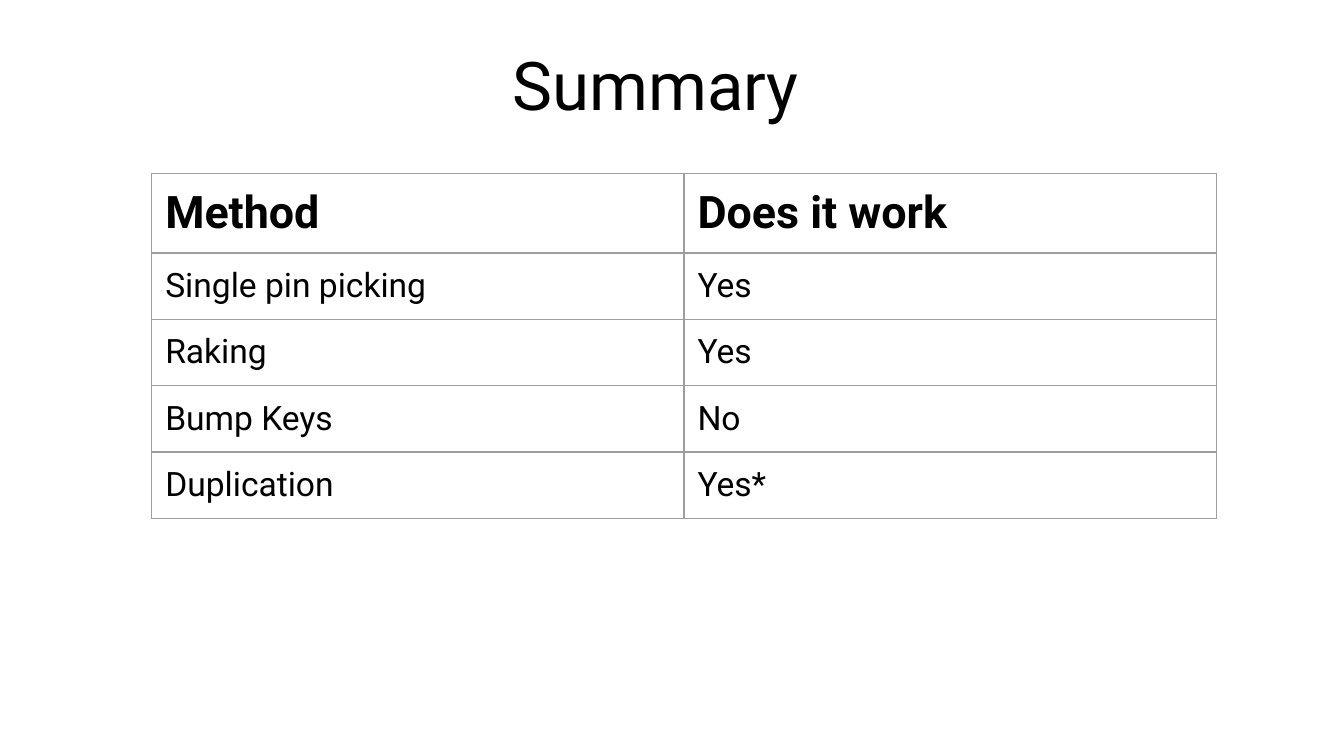
from lxml.etree import SubElement
from pptx import Presentation
from pptx.dml.color import RGBColor
from pptx.enum.text import MSO_ANCHOR as Anchor, PP_ALIGN as Align
from pptx.oxml.ns import qn
from pptx.util import Inches, Pt

COLOURS = {"text": "000000", "border": "9E9E9E", "background": "FFFFFF"}
FONT = "Roboto"
INSET = Inches(0.1)
HEADER_HEIGHT, ROW_HEIGHT = 0.59, 0.49
ROWS = [
    ("Method", "Does it work"),
    ("Single pin picking", "Yes"),
    ("Raking", "Yes"),
    ("Bump Keys", "No"),
    ("Duplication", "Yes*"),
]


def style_paragraph(para, size, bold=False):
    """Set the font of a whole paragraph."""
    para.font.name = FONT
    para.font.size = Pt(size)
    para.font.bold = bold
    para.font.color.rgb = RGBColor.from_string(COLOURS["text"])


def set_title(page, text):
    """Place the centred title, with a wider right inset to move it left."""
    title = page.shapes.title
    title.left, title.top = Inches(0.75), Inches(0.22)
    title.width, title.height = Inches(8.51), Inches(0.88)
    frame = title.text_frame
    frame.text = text
    frame.vertical_anchor = Anchor.TOP
    frame.margin_left = frame.margin_top = frame.margin_bottom = INSET
    frame.margin_right = Inches(0.35)
    para = frame.paragraphs[0]
    para.alignment = Align.CENTER
    style_paragraph(para, 36)


def add_borders(cell):
    """Draw a thin line on all four sides of a cell."""
    properties = cell._tc.get_or_add_tcPr()
    for side in ("lnL", "lnR", "lnT", "lnB"):
        line = SubElement(properties, qn(f"a:{side}"), w=str(Pt(0.75)))
        fill = SubElement(line, qn("a:solidFill"))
        SubElement(fill, qn("a:srgbClr"), val=COLOURS["border"])


def fill_cell(cell, text, is_header):
    """Write and format one table cell."""
    cell.text = text
    cell.margin_left = cell.margin_right = INSET
    cell.margin_top = cell.margin_bottom = INSET
    style_paragraph(cell.text_frame.paragraphs[0], 24 if is_header else 18, is_header)
    add_borders(cell)
    cell.fill.background()


def add_summary_table(page):
    """Add the table of methods and results."""
    height = HEADER_HEIGHT + ROW_HEIGHT * (len(ROWS) - 1)
    table = page.shapes.add_table(
        len(ROWS), len(ROWS[0]), Inches(1.13), Inches(1.29), Inches(7.92), Inches(height)
    ).table
    table.first_row = table.horz_banding = False
    for row_index, texts in enumerate(ROWS):
        is_header = row_index == 0
        table.rows[row_index].height = Inches(HEADER_HEIGHT if is_header else ROW_HEIGHT)
        for column_index, text in enumerate(texts):
            fill_cell(table.cell(row_index, column_index), text, is_header)


def main():
    """Build the summary slide and save the deck."""
    deck = Presentation()
    deck.slide_width = Inches(10)
    deck.slide_height = deck.slide_width * 9 // 16
    page = deck.slides.add_slide(deck.slide_layouts[5])
    background = page.background.fill
    background.solid()
    background.fore_color.rgb = RGBColor.from_string(COLOURS["background"])
    set_title(page, "Summary")
    add_summary_table(page)
    deck.save("out.pptx")


if __name__ == "__main__":
    main()
